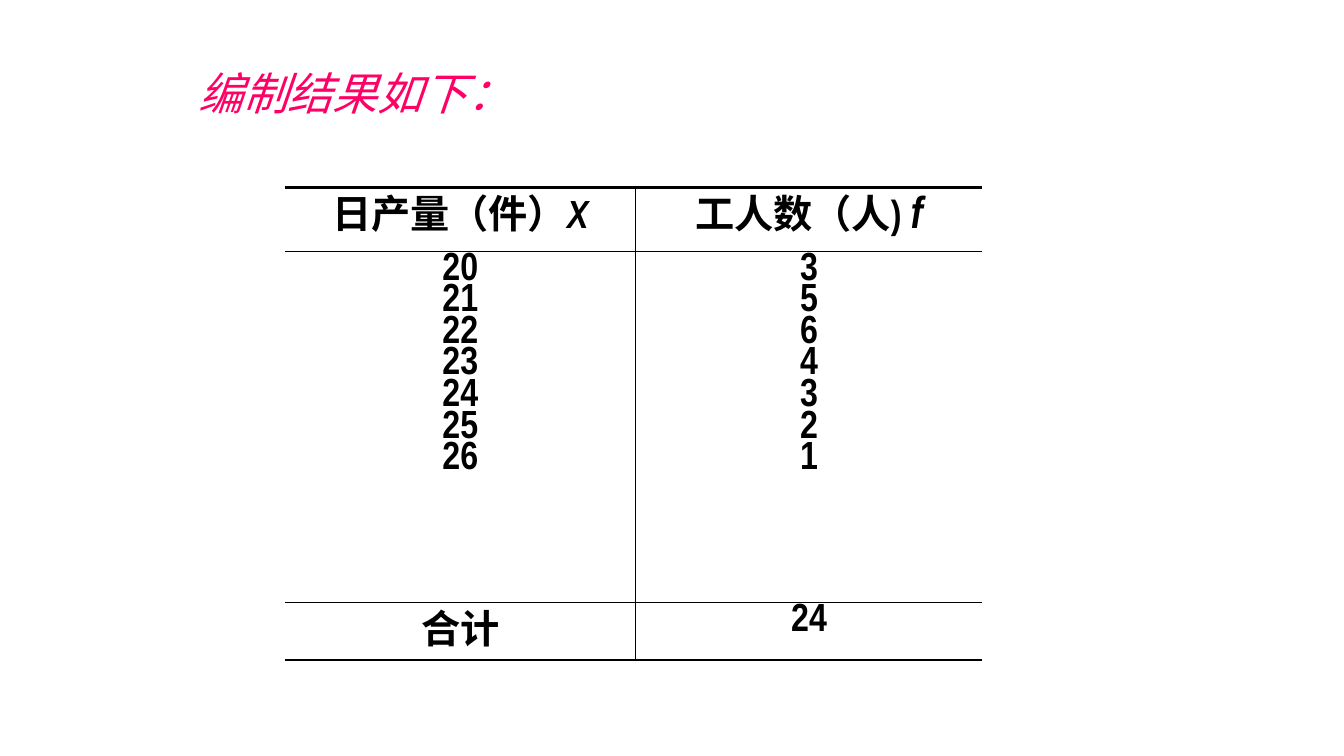
from dataclasses import dataclass

from lxml.etree import SubElement
from pptx import Presentation
from pptx.dml.color import RGBColor
from pptx.enum.text import MSO_ANCHOR, PP_ALIGN
from pptx.oxml.ns import qn
from pptx.util import Inches, Pt


@dataclass(frozen=True)
class Theme:
    ink: str = "000000"
    accent: str = "FF0066"
    title_font: str = "Times New Roman"
    table_font: str = "Arial Narrow"
    large: float = 32
    body: float = 28
    leading: float = 0.8
    gap: float = 1.5
    thick: float = 2.25
    thin: float = 1


@dataclass(frozen=True)
class Span:
    text: str
    size: float
    italic: bool = False


@dataclass(frozen=True)
class Cell:
    lines: tuple[tuple[Span, ...], ...]


THEME = Theme()
WIDTH, HEIGHT = Inches(13.33), Inches(7.5)
TITLE_BOX = (0.14, 0.08, 0.271, 0.084)
TABLE_ORIGIN = (0.212, 0.248)
COLUMNS = (0.261, 0.258)
ROWS = (0.085, 0.464, 0.076)
RULES = (THEME.thick, THEME.thin, THEME.thin, THEME.thick)
NO_STYLE = "{2D5ABB26-0587-4C30-8999-92F81FD0307C}"


def across(share: float) -> int:
    return round(WIDTH * share)


def down(share: float) -> int:
    return round(HEIGHT * share)


def plain(*texts: str) -> Cell:
    return Cell(tuple((Span(t, THEME.body),) for t in texts))


def heading(label: str, symbol: str, size: float) -> Cell:
    return Cell(((Span(label, THEME.body), Span(symbol, size, True)),))


CELLS = (
    (heading("日产量（件）", "X", THEME.body), heading("工人数（人) ", "f", THEME.large)),
    (plain("20", "21", "22", "23", "24", "25", "26"),
     plain("3", "5", "6", "4", "3", "2", "1")),
    (plain("合计"), plain("24")),
)


def add_borders(cell, widths: dict[str, float]) -> None:
    cell.fill.background()
    tc_pr = cell._tc.get_or_add_tcPr()
    for i, side in enumerate(("lnL", "lnR", "lnT", "lnB")):
        width = widths.get(side, 0)
        ln = SubElement(tc_pr, qn(f"a:{side}"), w=str(Pt(width)))
        if width:
            fill = SubElement(ln, qn("a:solidFill"))
            SubElement(fill, qn("a:srgbClr"), val=THEME.ink)
        else:
            SubElement(ln, qn("a:noFill"))
        tc_pr.insert(i, ln)


def fill_cell(cell, content: Cell) -> None:
    tf = cell.text_frame
    cell.vertical_anchor = MSO_ANCHOR.TOP
    for i, spans in enumerate(content.lines):
        p = tf.add_paragraph() if i else tf.paragraphs[0]
        p.alignment = PP_ALIGN.CENTER
        p.line_spacing = THEME.leading
        p.space_before = Pt(THEME.gap if i else 0)
        for span in spans:
            r = p.add_run()
            r.text = span.text
            r.font.name = THEME.table_font
            r.font.size = Pt(span.size)
            r.font.bold = True
            r.font.italic = span.italic
            r.font.color.rgb = RGBColor.from_string(THEME.ink)


def add_title(slide, text: str) -> None:
    sp = slide.shapes.title
    x, y, w, h = TITLE_BOX
    sp.left, sp.top, sp.width, sp.height = across(x), down(y), across(w), down(h)
    tf = sp.text_frame
    tf.text = text
    tf.vertical_anchor = MSO_ANCHOR.TOP
    p = tf.paragraphs[0]
    p.alignment = PP_ALIGN.LEFT
    font = p.runs[0].font
    font.name = THEME.title_font
    font.size = Pt(THEME.large)
    font.italic = True
    font.color.rgb = RGBColor.from_string(THEME.accent)


def add_frequency_table(slide) -> None:
    x, y = TABLE_ORIGIN
    table = slide.shapes.add_table(
        len(ROWS), len(COLUMNS), across(x), down(y),
        across(sum(COLUMNS)), down(sum(ROWS))).table
    table.first_row = table.horz_banding = False
    table._tbl.tblPr.find(qn("a:tableStyleId")).text = NO_STYLE
    for column, share in zip(table.columns, COLUMNS):
        column.width = across(share)
    for i, (share, contents) in enumerate(zip(ROWS, CELLS)):
        table.rows[i].height = down(share)
        for j, content in enumerate(contents):
            cell = table.cell(i, j)
            fill_cell(cell, content)
            inner = "lnL" if j else "lnR"
            add_borders(cell, {inner: THEME.thin, "lnT": RULES[i], "lnB": RULES[i + 1]})


def main() -> None:
    prs = Presentation()
    prs.slide_width, prs.slide_height = WIDTH, HEIGHT
    slide = prs.slides.add_slide(prs.slide_layouts[5])
    add_title(slide, "编制结果如下：")
    add_frequency_table(slide)
    prs.save("out.pptx")


if __name__ == "__main__":
    main()
